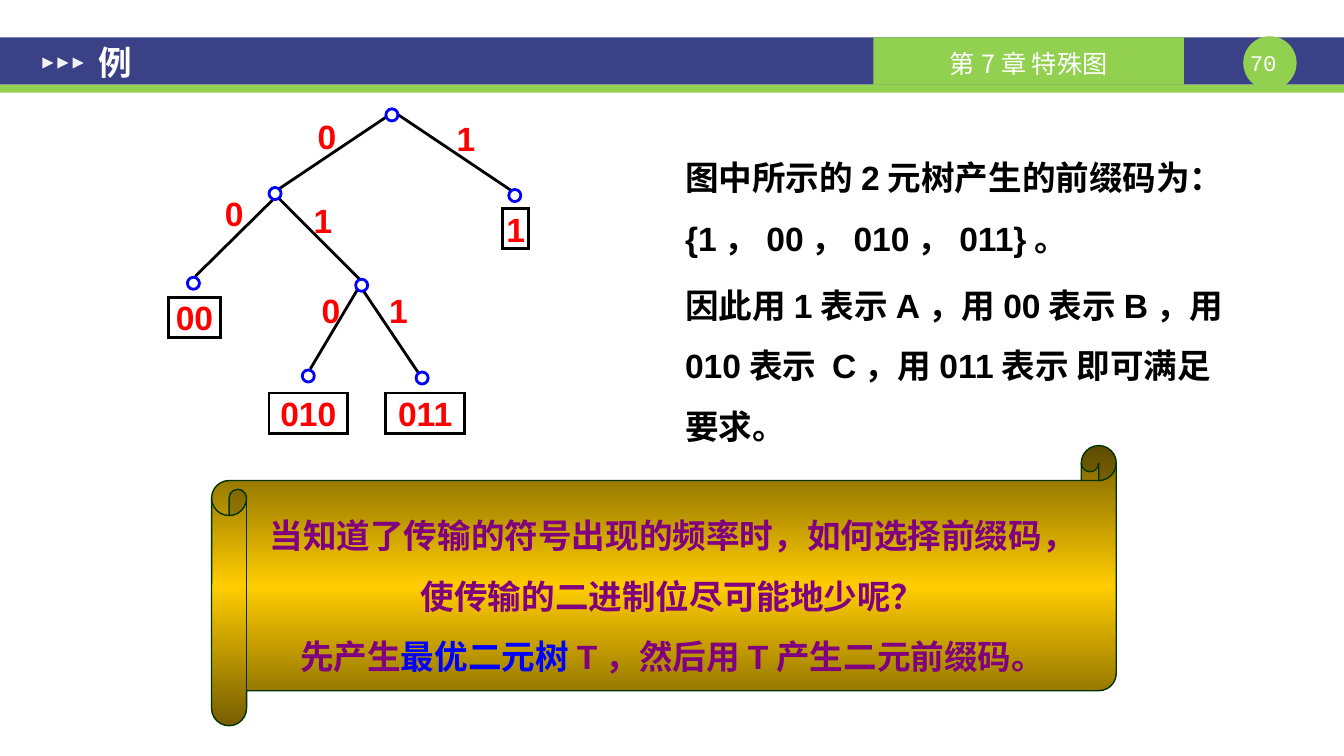
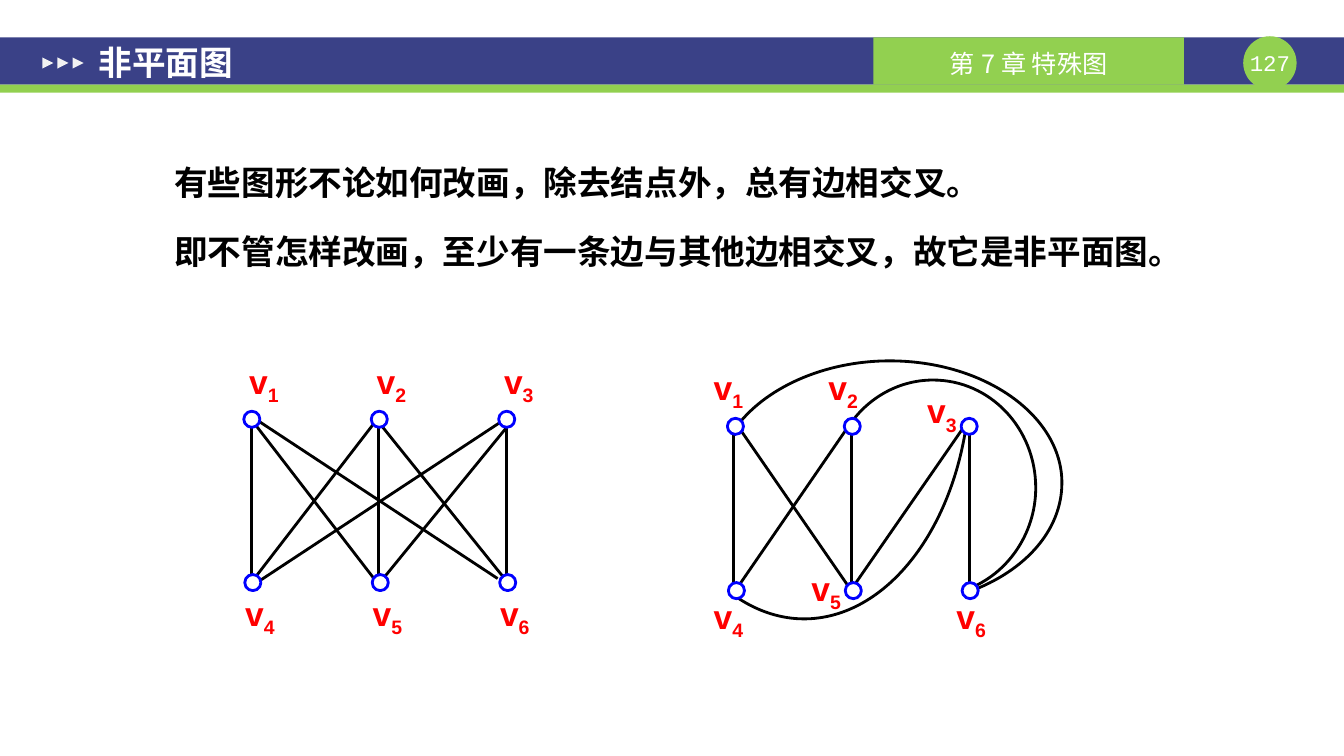
from copy import deepcopy

from pptx import Presentation
from pptx.dml.color import RGBColor
from pptx.enum.shapes import MSO_CONNECTOR, MSO_SHAPE
from pptx.enum.text import MSO_ANCHOR, PP_ALIGN
from pptx.oxml.ns import qn
from pptx.oxml.xmlchemy import OxmlElement
from pptx.util import Inches, Pt

RECT, OVAL = MSO_SHAPE.RECTANGLE, MSO_SHAPE.OVAL
TRIANGLE, SCROLL = MSO_SHAPE.ISOSCELES_TRIANGLE, MSO_SHAPE.HORIZONTAL_SCROLL
STRAIGHT = MSO_CONNECTOR.STRAIGHT
LEFT, CENTER = PP_ALIGN.LEFT, PP_ALIGN.CENTER
TOP, MIDDLE = MSO_ANCHOR.TOP, MSO_ANCHOR.MIDDLE

NAVY = RGBColor(0x3A, 0x41, 0x87)
GREEN = RGBColor(0x92, 0xD0, 0x50)
PALE = RGBColor(0xF2, 0xF2, 0xF2)
WHITE = RGBColor(0xFF, 0xFF, 0xFF)
BLACK = RGBColor(0, 0, 0)
RED = RGBColor(0xFF, 0, 0)
BLUE = RGBColor(0, 0, 0xFF)
PURPLE = RGBColor(0x80, 0, 0x80)
GOLD = RGBColor(0xFF, 0xCC, 0)
BRONZE = RGBColor(0x76, 0x5E, 0)
DARK_GREEN = RGBColor(0, 0x33, 0)

NO_INSETS = (0, 0, 0, 0)
BODY_INSETS = (0.13, 0.07, 0.13, 0.07)


def add_box(s, kind, x, y, w, h, fill=None, line=None, weight=2):
    shape = s.shapes.add_shape(kind, Inches(x), Inches(y), Inches(w), Inches(h))
    shape.shadow.inherit = False
    if fill is None:
        shape.fill.background()
    else:
        shape.fill.solid()
        shape.fill.fore_color.rgb = fill
    if line is None:
        shape.line.fill.background()
    else:
        shape.line.color.rgb = line
        shape.line.width = Pt(weight)
    return shape


def setup_frame(tf, insets, anchor, wrap=True):
    tf.word_wrap = wrap
    tf.vertical_anchor = anchor
    tf.margin_left, tf.margin_top, tf.margin_right, tf.margin_bottom = map(Inches, insets)


def write(tf, paragraphs, color, size=24, font="Arial", bold=True,
          align=LEFT, spacing=None, before=0):
    """Each paragraph is a list of runs."""
    for i, runs in enumerate(paragraphs):
        p = tf.paragraphs[0] if i == 0 else tf.add_paragraph()
        p.alignment = align
        if spacing:
            p.line_spacing = spacing
        if i and before:
            p.space_before = Pt(before)
        p.font.size, p.font.name, p.font.bold = Pt(size), font, bold
        p.font.color.rgb = color
        for text in runs:
            p.add_run().text = text


def add_text(s, x, y, w, h, paragraphs, color, insets=NO_INSETS, anchor=TOP, **style):
    tf = s.shapes.add_textbox(Inches(x), Inches(y), Inches(w), Inches(h)).text_frame
    setup_frame(tf, insets, anchor)
    write(tf, paragraphs, color, **style)
    return tf


def add_graph(s, nodes, edges, size):
    """Edges are (x1, y1, x2, y2); nodes are centres, drawn over the edges."""
    for ends in edges:
        edge = s.shapes.add_connector(STRAIGHT, *map(Inches, ends))
        edge.line.color.rgb = BLACK
        edge.line.width = Pt(2)
        edge._element.spPr.append(OxmlElement("a:effectLst"))
    for x, y in nodes:
        add_box(s, OVAL, x - size / 2, y - size / 2, size, size, WHITE, BLUE)


def add_curve(s, points):
    """Joined cubic curves: a start, then two controls and an end for each."""
    start, *rest = [(Inches(x), Inches(y)) for x, y in points]
    builder = s.shapes.build_freeform(*start)
    builder.add_line_segments(rest, close=False)
    curve = builder.convert_to_shape()
    outline = curve._element.spPr.find(".//" + qn("a:path"))
    outline.set("fill", "none")
    segments = outline.findall(qn("a:lnTo"))
    for i in range(0, len(segments), 3):
        cubic = OxmlElement("a:cubicBezTo")
        for segment in segments[i:i + 3]:
            cubic.append(segment[0])
            outline.remove(segment)
        outline.append(cubic)
    curve.shadow.inherit = False
    curve.fill.background()
    curve.line.color.rgb = BLACK
    curve.line.width = Pt(2)


def add_vertex_label(s, number, center_x, top):
    tf = add_text(s, center_x - 0.33, top, 0.66, 0.4, [["v", str(number)]], RED, align=CENTER)
    tf.paragraphs[0].runs[1].font._element.set("baseline", "-25000")


def add_leaf(s, code, x, y):
    leaf = add_box(s, RECT, x, y, 0.26 * len(code), 0.4, line=BLACK)
    leaf._element.spPr.find(qn("a:ln")).append(OxmlElement("a:miter"))
    setup_frame(leaf.text_frame, NO_INSETS, TOP, wrap=False)
    write(leaf.text_frame, [[code]], RED, align=CENTER)


def add_scroll(s):
    scroll = add_box(s, SCROLL, 2.1, 4.42, 8.98, 2.78, GOLD, DARK_GREEN, 1)
    scroll.fill.gradient()
    scroll.fill.gradient_angle = 90
    stops = scroll._element.spPr.find(".//" + qn("a:gsLst"))
    stops.insert(1, deepcopy(stops[0]))
    for stop, position, color in zip(scroll.fill.gradient_stops, (0, 0.5, 1),
                                     (BRONZE, GOLD, BRONZE)):
        stop.position = position
        stop.color.rgb = color
    tf = scroll.text_frame
    setup_frame(tf, (0.1, 0.05, 0.1, 0.05), MIDDLE)
    write(tf, [["当知道了传输的符号出现的频率时，如何选择前缀码，使传输的二进制位尽可能地少呢？"],
               ["先产生", "最优二元树", "T，然后用T产生二元前缀码。"]],
          PURPLE, align=CENTER, spacing=1.5)
    tf.paragraphs[1].runs[1].font.color.rgb = BLUE


def new_slide(prs, title, number):
    s = prs.slides.add_slide(prs.slide_layouts[6])
    add_box(s, RECT, 0, 0.37, 13.34, 0.47, NAVY)
    add_box(s, RECT, 0, 0.84, 13.34, 0.08, GREEN)
    add_box(s, OVAL, 12.34, 0.36, 0.53, 0.53, GREEN)
    add_text(s, 12.34, 0.49, 0.53, 0.27, [[f"{number} "]], WHITE, size=16,
             font="Courier New", bold=False, align=CENTER)
    chapter = add_box(s, RECT, 8.67, 0.37, 3.08, 0.47, GREEN).text_frame
    setup_frame(chapter, (0.1, 0.04, 0.1, 0), MIDDLE)
    write(chapter, [["第7章 特殊图"]], WHITE, size=18, font="Noto Sans CJK SC",
          bold=False, align=CENTER)
    for i in range(3):
        add_box(s, TRIANGLE, 0.42 + 0.15 * i, 0.57, 0.11, 0.11, PALE).rotation = 90
    add_text(s, 0.85, 0.38, 5.83, 0.47, [[title]], WHITE, BODY_INSETS, MIDDLE)
    return s


def build_prefix_code(prs):
    s = new_slide(prs, "例", 70)
    add_text(s, 6.67, 1.29, 5.67, 2.87,
             [["图中所示的2元树产生的前缀码为：{1，00，010，011}。"],
              ["因此用1表示A，用00表示B，用010表示 C，用011表示 即可满足要求。"]],
             BLACK, BODY_INSETS, spacing=1.5, before=4.8)

    nodes = [(3.89, 1.14), (2.73, 1.92), (5.11, 1.94), (1.92, 2.81),
             (3.59, 2.83), (3.06, 3.73), (4.19, 3.75)]
    edges = [(3.88, 1.13, 2.73, 1.9), (5.09, 1.9, 3.94, 1.13), (2.71, 1.98, 1.94, 2.74),
             (3.57, 2.77, 2.76, 1.96), (3.55, 2.87, 3.08, 3.66), (4.16, 3.71, 3.61, 2.89)]
    add_graph(s, nodes, edges, 0.12)
    for bit, x, y in [("0", 3.12, 1.15), ("1", 4.5, 1.17), ("0", 2.2, 1.91),
                      ("1", 3.08, 1.98), ("0", 3.16, 2.88), ("1", 3.83, 2.88)]:
        add_text(s, x, y, 0.25, 0.4, [[bit]], RED, align=CENTER)
    for code, x, y in [("1", 4.99, 2.07), ("00", 1.67, 2.95),
                       ("010", 2.67, 3.9), ("011", 3.83, 3.9)]:
        add_leaf(s, code, x, y)
    add_scroll(s)


def grid_nodes(left, top, pitch, height):
    """Vertices 1 to 3 on the upper row, 4 to 6 on the lower."""
    return [(left + pitch * col + 0.01 * row, top + height * row)
            for row in range(2) for col in range(3)]


def build_nonplanar(prs):
    s = new_slide(prs, "非平面图", 127)
    add_text(s, 1.6, 1.34, 11.05, 1.75,
             [["有些图形不论如何改画，除去结点外，总有边相交叉。"],
              ["即不管怎样改画，至少有一条边与其他边相交叉，故它是非平面图。"]],
             BLACK, BODY_INSETS, spacing=1.5, before=6)

    crossed = grid_nodes(2.5, 4.16, 1.265, 1.62)
    crossed_edges = [
        (5.03, 4.19, 5.03, 5.72), (2.5, 4.19, 2.5, 5.72), (3.72, 4.19, 2.54, 5.72),
        (4.98, 4.18, 2.58, 5.76), (5.07, 4.19, 3.82, 5.72), (2.54, 4.16, 4.94, 5.74),
        (2.54, 4.22, 3.72, 5.75), (3.76, 4.19, 5, 5.73), (3.76, 4.19, 3.76, 5.73)]
    add_graph(s, crossed, crossed_edges, 0.16)
    for number, (x, _) in enumerate(crossed, 1):
        offset, top = (0.12, 3.58) if number < 4 else (0.07, 5.88)
        add_vertex_label(s, number, x + offset, top)

    for points in (
        [(7.32, 5.93), (7.53, 6.07), (7.76, 6.14), (7.98, 6.14),
         (8.75, 6.14), (9.42, 5.34), (9.59, 4.23)],
        [(9.56, 5.86), (9.99, 5.72), (10.28, 5.3), (10.28, 4.84),
         (10.28, 4.25), (9.83, 3.77), (9.26, 3.77),
         (8.91, 3.77), (8.58, 3.96), (8.39, 4.28)],
        [(7.29, 4.26), (7.58, 3.85), (8.18, 3.58), (8.83, 3.58),
         (9.78, 3.58), (10.54, 4.13), (10.54, 4.79),
         (10.54, 5.25), (10.19, 5.66), (9.62, 5.87)],
    ):
        add_curve(s, points)
    redrawn_edges = [
        (9.62, 4.26, 9.62, 5.79), (7.28, 4.26, 7.28, 5.79), (8.4, 4.26, 7.34, 5.8),
        (9.55, 4.26, 8.49, 5.79), (7.34, 4.25, 8.43, 5.83), (8.45, 4.26, 8.45, 5.8)]
    add_graph(s, grid_nodes(7.3, 4.23, 1.16, 1.63), redrawn_edges, 0.16)
    label_places = [(7.23, 3.64), (8.37, 3.64), (9.35, 3.87),
                    (7.23, 5.91), (8.2, 5.63), (9.64, 5.91)]
    for number, (x, top) in enumerate(label_places, 1):
        add_vertex_label(s, number, x, top)


def main():
    prs = Presentation()
    prs.slide_width, prs.slide_height = Inches(13.34), Inches(7.5)
    build_prefix_code(prs)
    build_nonplanar(prs)
    prs.save("out.pptx")


if __name__ == "__main__":
    main()
